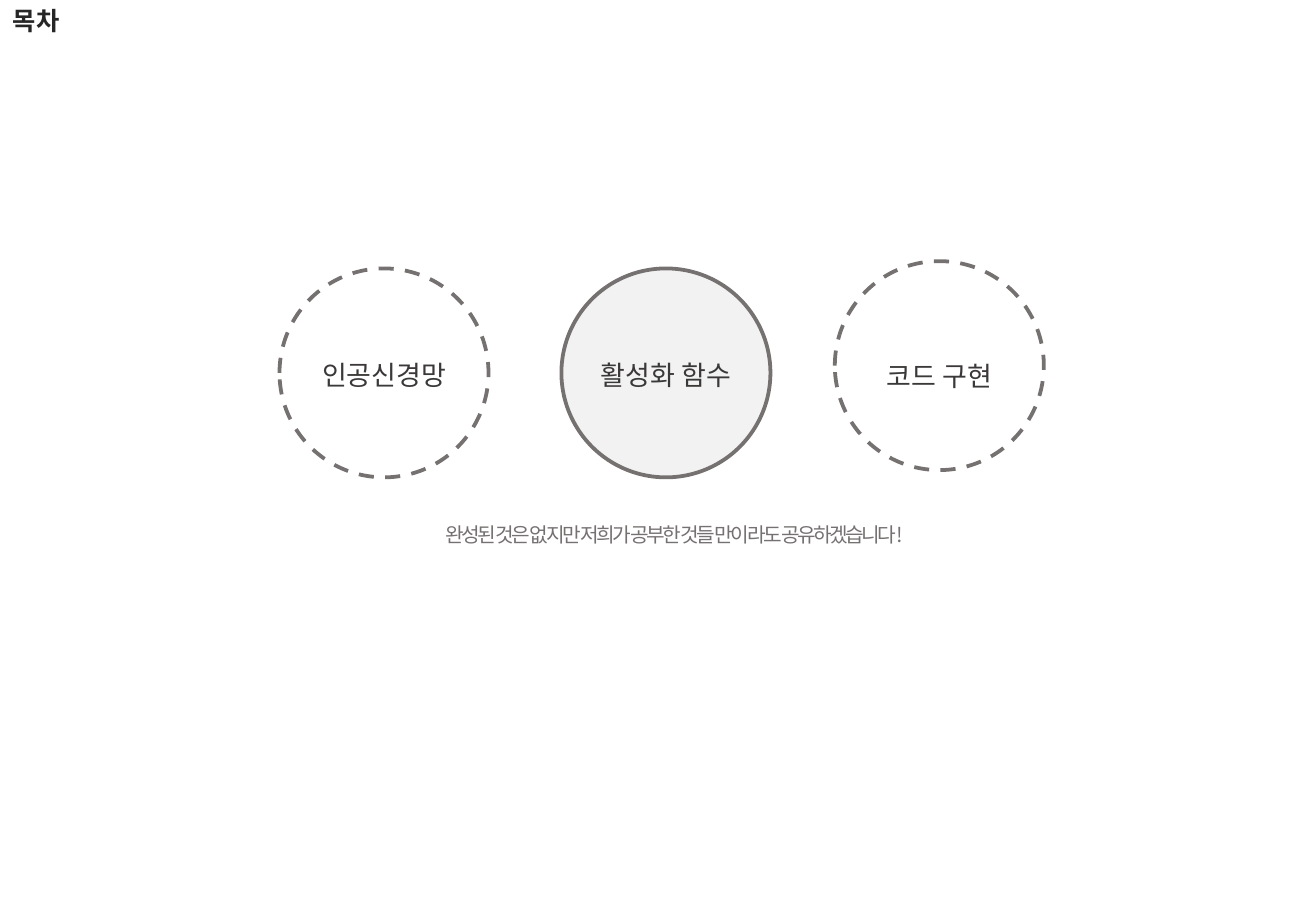
"""Builds the contents slide with three topic circles and a closing remark."""
from dataclasses import dataclass
from typing import Optional

from lxml.etree import SubElement
from pptx import Presentation
from pptx.dml.color import RGBColor
from pptx.enum.dml import MSO_LINE
from pptx.enum.shapes import MSO_SHAPE
from pptx.enum.text import MSO_ANCHOR, MSO_AUTO_SIZE, PP_ALIGN
from pptx.oxml.ns import qn
from pptx.shapes.autoshape import Shape
from pptx.slide import Slide
from pptx.util import Inches, Pt

FONT = "Noto Sans CJK KR"
GREY = "767171"
DIAMETER = 1.72
LABEL_WIDTH, LABEL_HEIGHT = 1.41, 0.44


@dataclass
class TextStyle:
    size: float
    color: str
    bold: bool = False
    tracking: float = 0
    align: PP_ALIGN = PP_ALIGN.CENTER
    line_spacing: float = 1.0


@dataclass
class Topic:
    label: str
    left: float
    top: float
    label_top: float
    fill: Optional[str] = None


TITLE = TextStyle(15, "262626", bold=True, tracking=-1.5, align=PP_ALIGN.LEFT)
REMARK = TextStyle(12, GREY, tracking=-1.5)
LABEL = TextStyle(16, "3B3838", line_spacing=1.5)

TOPICS = [
    Topic("인공신경망", 2.3, 2.21, 2.77),
    Topic("활성화 함수", 4.62, 2.21, 2.77, fill="F2F2F2"),
    Topic("코드 구현", 6.87, 2.15, 2.78),
]


def rgb(value: str) -> RGBColor:
    return RGBColor.from_string(value)


def write_text(box: Shape, text: str, style: TextStyle) -> None:
    frame = box.text_frame
    frame_format = {
        "word_wrap": True,
        "auto_size": MSO_AUTO_SIZE.SHAPE_TO_FIT_TEXT,
        "vertical_anchor": MSO_ANCHOR.TOP,
    }
    for name, value in frame_format.items():
        setattr(frame, name, value)
    para = frame.paragraphs[0]
    para.alignment = style.align
    para.line_spacing = style.line_spacing
    span = para.add_run()
    span.text = text
    font_format = {"name": FONT, "size": Pt(style.size), "bold": style.bold}
    for name, value in font_format.items():
        setattr(span.font, name, value)
    span.font.color.rgb = rgb(style.color)
    properties = span.font._element
    SubElement(properties, qn("a:ea")).set("typeface", FONT)
    if style.tracking:
        properties.set("spc", str(int(style.tracking * 100)))


def add_text(page: Slide, text: str, style: TextStyle, left: float, top: float,
             width: float, height: float) -> None:
    box = page.shapes.add_textbox(Inches(left), Inches(top), Inches(width), Inches(height))
    write_text(box, text, style)


def add_title(page: Slide, text: str) -> None:
    title = page.shapes.title
    position = {"left": 0, "top": -0.01, "width": 4.35, "height": 0.35}
    for name, value in position.items():
        setattr(title, name, Inches(value))
    write_text(title, text, TITLE)


def add_topic(page: Slide, topic: Topic) -> None:
    circle = page.shapes.add_shape(MSO_SHAPE.OVAL, Inches(topic.left), Inches(topic.top),
                                   Inches(DIAMETER), Inches(DIAMETER))
    circle.shadow.inherit = False
    circle.line.color.rgb = rgb(GREY)
    circle.line.width = Pt(2.25)
    if topic.fill:
        circle.fill.solid()
        circle.fill.fore_color.rgb = rgb(topic.fill)
    else:
        circle.fill.background()
        circle.line.dash_style = MSO_LINE.DASH
    label_left = topic.left + (DIAMETER - LABEL_WIDTH) / 2
    add_text(page, topic.label, LABEL, label_left, topic.label_top, LABEL_WIDTH, LABEL_HEIGHT)


def main() -> None:
    deck = Presentation()
    deck.slide_width, deck.slide_height = Inches(10.83), Inches(7.5)
    page = deck.slides.add_slide(deck.slide_layouts[5])
    add_title(page, "목 차")
    add_text(page, "완성된 것은 없지만 저희가 공부한 것들 만이라도 공유하겠습니다!", REMARK,
             3.3, 4.25, 4.5, 0.3)
    for topic in TOPICS:
        add_topic(page, topic)
    deck.save("out.pptx")


if __name__ == "__main__":
    main()
